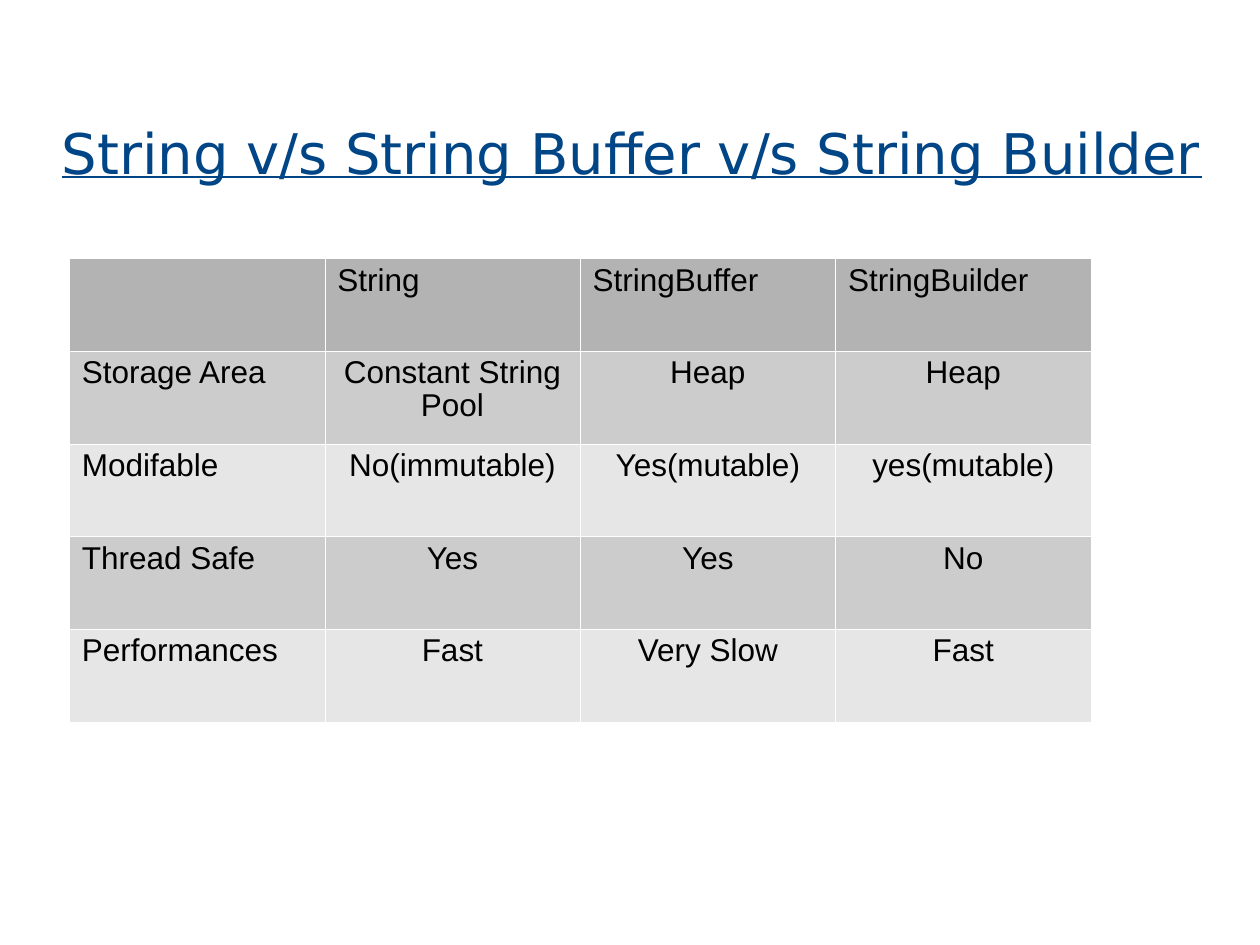
import lxml.etree
import pptx
import pptx.dml.color
import pptx.enum.text
import pptx.oxml.ns
import pptx.util

Inches = pptx.util.Inches
Pt = pptx.util.Pt
Align = pptx.enum.text.PP_ALIGN


def color(code):
    """Turn a hex string into a colour."""
    return pptx.dml.color.RGBColor.from_string(code)


class Deck:
    """Hold the style and the current slide."""

    blue, black, white = "004586", "000000", "FFFFFF"
    head, bands = "B3B3B3", ("CCCCCC", "E6E6E6")

    def __init__(self):
        """Start a deck with one title-only slide."""
        self.show = pptx.Presentation()
        self.show.slide_width = Inches(10)
        self.show.slide_height = Inches(7.5)
        self.slide = self.show.slides.add_slide(self.show.slide_layouts[5])

    def font(self, para, face, size, code, line=False):
        """Format every run of a paragraph."""
        for run in para.runs:
            run.font.name = face
            run.font.size = Pt(size)
            run.font.bold = False
            run.font.underline = line
            run.font.color.rgb = color(code)

    def title(self, text, left, top, width, height):
        """Fill and place the title."""
        box = self.slide.shapes.title
        box.left, box.top = Inches(left), Inches(top)
        box.width, box.height = Inches(width), Inches(height)
        frame = box.text_frame
        frame.text = text
        frame.word_wrap = True
        frame.auto_size = pptx.enum.text.MSO_AUTO_SIZE.NONE
        frame.vertical_anchor = pptx.enum.text.MSO_ANCHOR.TOP
        para = frame.paragraphs[0]
        para.alignment = Align.LEFT
        self.font(para, "DejaVu Sans", 32, self.blue, True)

    def border(self, cell):
        """Draw hairlines on all sides of a cell."""
        props = cell._tc.get_or_add_tcPr()
        for side in ("a:lnL", "a:lnR", "a:lnT", "a:lnB"):
            line = lxml.etree.SubElement(props, pptx.oxml.ns.qn(side), w=str(Pt(0.06)))
            fill = lxml.etree.SubElement(line, pptx.oxml.ns.qn("a:solidFill"))
            lxml.etree.SubElement(fill, pptx.oxml.ns.qn("a:srgbClr"), val=self.white)

    def cell(self, cell, text, fill, align):
        """Fill and format one cell."""
        self.border(cell)
        cell.fill.solid()
        cell.fill.fore_color.rgb = color(fill)
        cell.text_frame.text = text
        para = cell.text_frame.paragraphs[0]
        para.alignment = align
        para.line_spacing = 0.94
        self.font(para, "Arial", 18, self.black)

    def table(self, rows, left, top, width, height):
        """Add a banded table with equal rows and columns."""
        grid = self.slide.shapes.add_table(
            len(rows), len(rows[0]),
            Inches(left), Inches(top), Inches(width), Inches(height)).table
        grid.first_row = grid.horz_banding = False
        for r, row in enumerate(rows):
            fill = self.bands[(r - 1) % 2] if r else self.head
            for c, text in enumerate(row):
                align = Align.CENTER if r and c else Align.LEFT
                self.cell(grid.cell(r, c), text, fill, align)


def main():
    """Build and save the slide."""
    deck = Deck()
    deck.title("String v/s String Buffer v/s String Builder", 0.39, 0.89, 9.61, 0.77)
    deck.table([
        ("", "String", "StringBuffer", "StringBuilder"),
        ("Storage Area", "Constant String Pool", "Heap", "Heap"),
        ("Modifable", "No(immutable)", "Yes(mutable)", "yes(mutable)"),
        ("Thread Safe", "Yes", "Yes", "No"),
        ("Performances", "Fast", "Very Slow", "Fast"),
    ], 0.55, 2.05, 8.11, 3.68)
    deck.show.save("out.pptx")


if __name__ == "__main__":
    main()
